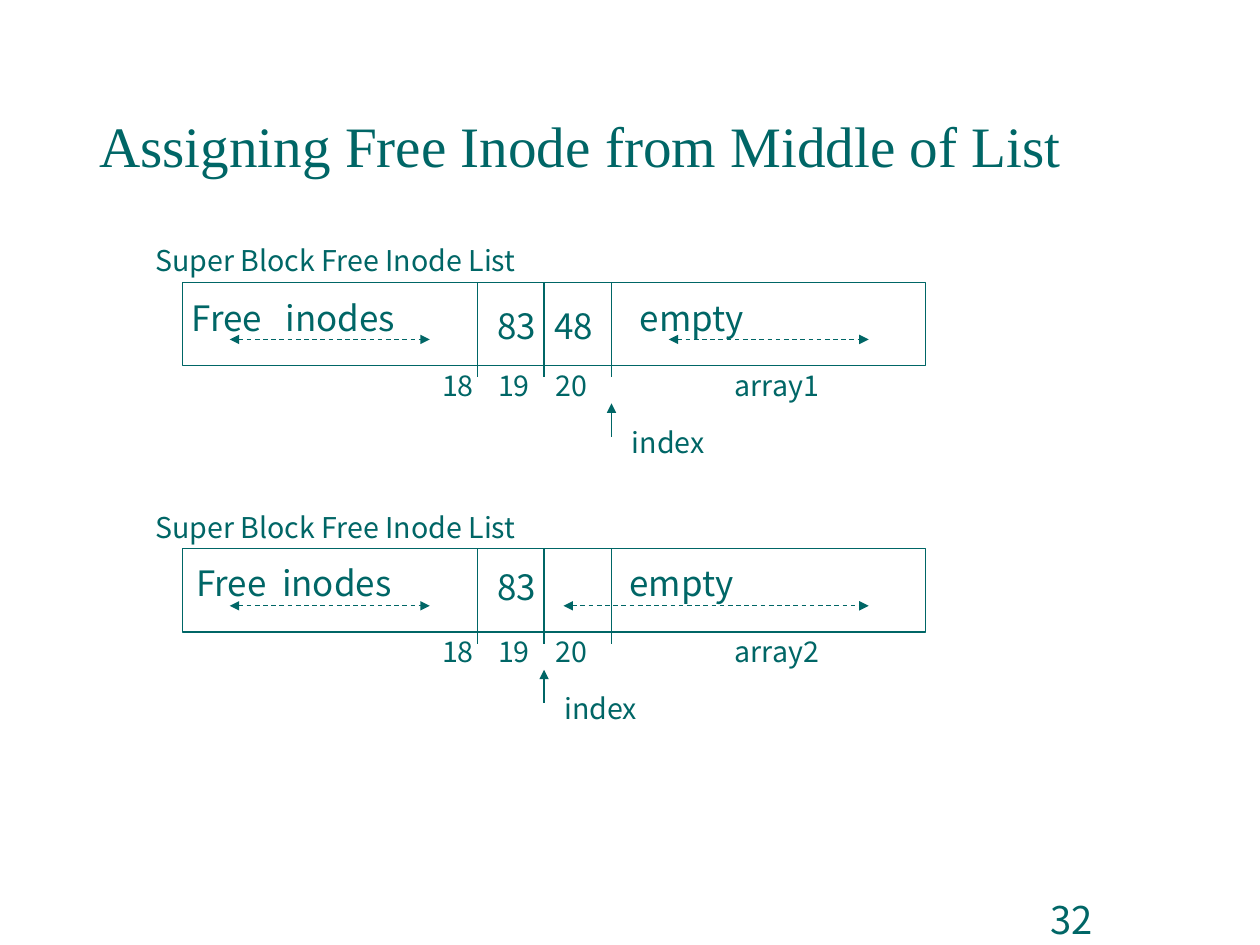
"""Build a slide showing a free inode taken from the middle of the list."""
from dataclasses import dataclass

from lxml import etree
from pptx import Presentation
from pptx import util as u
from pptx.dml.color import RGBColor
from pptx.enum import dml, shapes, text
from pptx.oxml import ns

INK = "006666"
SANS = "Noto Sans CJK KR"
SERIF = "Times New Roman"
LIST_LEFT, LIST_WIDTH, LIST_HEIGHT = 1.6, 6.5, 0.73
DIVIDERS = (4.18, 4.76, 5.35)


@dataclass(frozen=True)
class Label:
    words: str
    left: float
    drop: float
    width: float
    tabs: tuple[float, ...] = ()


@dataclass(frozen=True)
class InodeList:
    top: float
    name: str
    index: float
    empty_from: float
    entries: tuple[Label, ...]


INODE_LISTS = (
    InodeList(2.47, "array1", DIVIDERS[2], 5.85, (
        Label("83", 4.25, 0.34, 0.75),
        Label("Free\tinodes", 1.58, 0.27, 2.75, (0.82,)),
        Label("empty", 5.5, 0.27, 2.25),
        Label("48", 4.75, 0.34, 0.75),
    )),
    InodeList(4.8, "array2", DIVIDERS[1], 4.93, (
        Label("Free\tinodes", 1.62, 0.26, 2.75, (0.75,)),
        Label("83", 4.25, 0.29, 0.75),
        Label("empty", 5.41, 0.26, 2.25),
    )),
)


def colour(hex_value: str) -> RGBColor:
    """Turn a hex string into a colour."""
    return RGBColor.from_string(hex_value)


def style(para, size: float, spacing: float, font: str = SANS) -> None:
    """Set the font and line spacing of a paragraph."""
    para.line_spacing = spacing
    para.font.size = u.Pt(size)
    para.font.name = font
    para.font.color.rgb = colour(INK)


def add_text(page, label: Label, top: float, height: float, size: float,
             spacing: float, before: float = 0):
    """Add a text box whose words may be set out on tab stops."""
    box = page.shapes.add_textbox(u.Inches(label.left), u.Inches(top + label.drop),
                                  u.Inches(label.width), u.Inches(height))
    frame = box.text_frame
    frame.word_wrap = True
    frame.auto_size = text.MSO_AUTO_SIZE.SHAPE_TO_FIT_TEXT
    para = frame.paragraphs[0]
    para.text = label.words
    if label.tabs:
        stops = etree.SubElement(para._p.get_or_add_pPr(), ns.qn("a:tabLst"))
        for stop in label.tabs:
            etree.SubElement(stops, ns.qn("a:tab"), pos=str(u.Inches(stop)), algn="l")
    style(para, size, spacing)
    if before:
        para.space_before = u.Pt(before)
    return frame


def add_line(page, start: tuple[float, float], end: tuple[float, float],
             heads: tuple[str, ...] = (), dashed: bool = False) -> None:
    """Add a thin line with the given arrow ends."""
    line = page.shapes.add_connector(shapes.MSO_CONNECTOR.STRAIGHT,
                                     *map(u.Inches, start + end))
    line.line.width = u.Pt(0.75)
    line.line.color.rgb = colour(INK)
    if dashed:
        line.line.dash_style = dml.MSO_LINE.DASH
    outline = line.line._get_or_add_ln()
    for head in heads:
        etree.SubElement(outline, ns.qn(head), type="triangle")
    etree.SubElement(line._element.spPr, ns.qn("a:effectLst"))


def add_inode_list(page, inodes: InodeList) -> None:
    """Draw one inode list with its entries, numbers and index arrow."""
    top = inodes.top
    box = page.shapes.add_shape(shapes.MSO_SHAPE.RECTANGLE, u.Inches(LIST_LEFT),
                                u.Inches(top), u.Inches(LIST_WIDTH), u.Inches(LIST_HEIGHT))
    box.shadow.inherit = False
    box.fill.background()
    box.line.color.rgb = colour(INK)
    box.line.width = u.Pt(0.75)
    for left, right in ((2.01, 3.76), (inodes.empty_from, 7.6)):
        add_line(page, (left, top + 0.5), (right, top + 0.5),
                 ("a:headEnd", "a:tailEnd"), dashed=True)
    for divider in DIVIDERS:
        add_line(page, (divider, top), (divider, top + 0.83))
    add_line(page, (inodes.index, top + 1.35), (inodes.index, top + 1.06), ("a:tailEnd",))
    captions = (
        Label(f"\t18\t19\t20\t{inodes.name}", 3.6, 0.75, 4.67, (0.17, 0.66, 1.16, 2.73)),
        Label("Super Block Free Inode List", 1.26, -0.34, 4.25),
        Label("index", inodes.index + 0.08, 1.25, 1.17),
    )
    for caption in captions:
        add_text(page, caption, top, 0.35, 18, 0.83, before=11.2)
    for entry in inodes.entries:
        add_text(page, entry, top, 0.24, 22, 0.38)


def add_title(page, words: str) -> None:
    """Fill and place the title placeholder."""
    title = page.shapes.title
    title.left, title.top = u.Inches(0.66), u.Inches(0.66)
    title.width, title.height = u.Inches(8.83), u.Inches(1.27)
    frame = title.text_frame
    frame.text = words
    frame.word_wrap = True
    frame.auto_size = text.MSO_AUTO_SIZE.NONE
    frame.vertical_anchor = text.MSO_ANCHOR.MIDDLE
    para = frame.paragraphs[0]
    para.alignment = text.PP_ALIGN.CENTER
    style(para, 36, 0.97, SERIF)


def add_page_number(page, number: str) -> None:
    """Put the page number at the bottom right."""
    frame = add_text(page, Label(number, 9.09, 0, 1.4), 7.75, 0.49, 24, 0.22)
    frame.auto_size = text.MSO_AUTO_SIZE.NONE
    frame.vertical_anchor = text.MSO_ANCHOR.BOTTOM


def main() -> None:
    """Build and save the deck."""
    deck = Presentation()
    deck.slide_width = u.Cm(28)
    deck.slide_height = u.Cm(21)
    page = deck.slides.add_slide(deck.slide_layouts.get_by_name("Title Only"))
    add_title(page, "Assigning Free Inode from Middle of List")
    for inodes in INODE_LISTS:
        add_inode_list(page, inodes)
    add_page_number(page, "32")
    deck.save("out.pptx")


if __name__ == "__main__":
    main()
